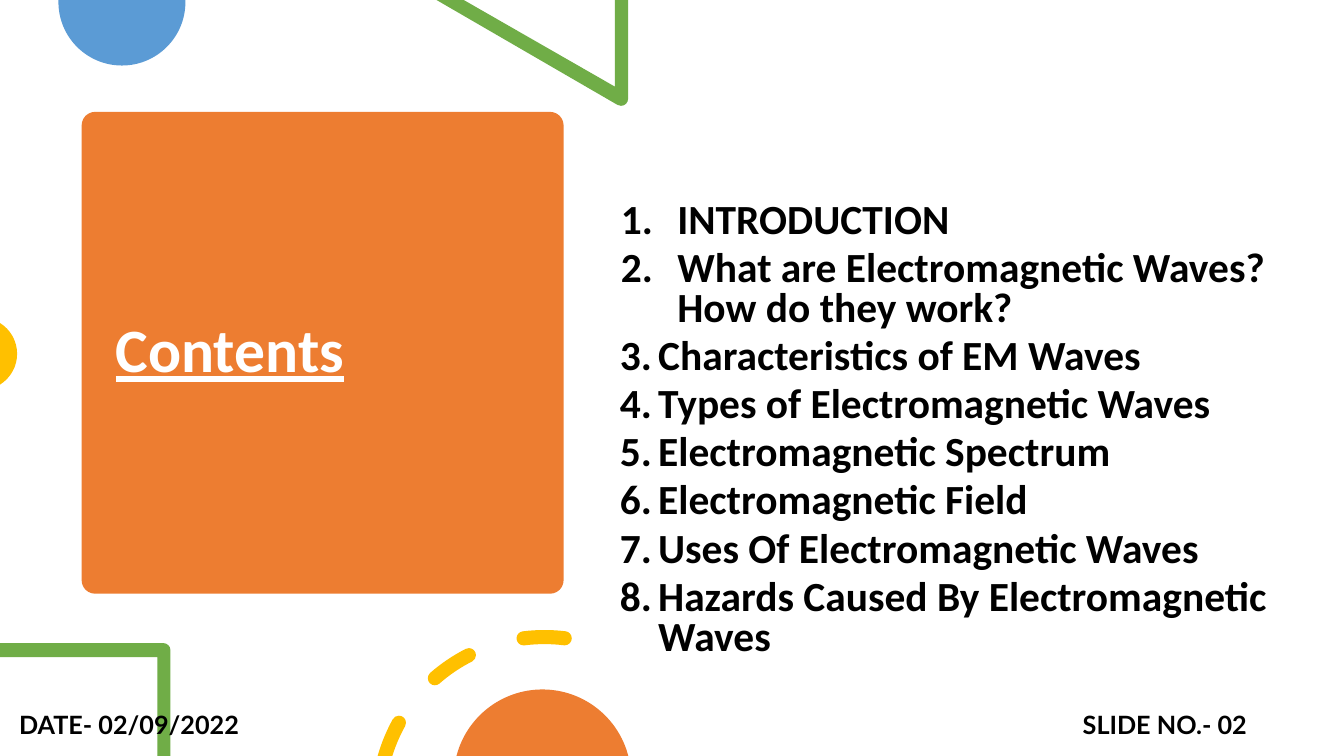
from dataclasses import dataclass
from math import asin, cos, degrees, radians, sin, tan

from lxml.etree import SubElement
from pptx import Presentation
from pptx.dml.color import RGBColor as Rgb
from pptx.enum.shapes import MSO_SHAPE as Preset
from pptx.enum.text import MSO_ANCHOR as Anchor
from pptx.oxml.ns import qn
from pptx.util import Inches, Pt

COLUMNS, ROWS = 13.33, 7.5


@dataclass(frozen=True)
class Theme:
    """Colours, fonts and type sizes of the slide."""

    orange: str = "ED7D31"
    blue: str = "5B9BD5"
    green: str = "70AD47"
    yellow: str = "FFC000"
    ink: str = "000000"
    paper: str = "FFFFFF"
    main_font: str = "Calibri"
    footer_font: str = "Lato"
    title_size: float = 44
    topic_size: float = 29.6
    footer_size: float = 18


THEME = Theme()
WIDE_INDENT = (0.69, -0.56)
TIGHT_INDENT = (0.5, -0.38)
TOPICS = [
    ("INTRODUCTION", WIDE_INDENT),
    ("What are Electromagnetic Waves? How do they work?", WIDE_INDENT),
    ("Characteristics of EM Waves", TIGHT_INDENT),
    ("Types of Electromagnetic Waves", TIGHT_INDENT),
    ("Electromagnetic Spectrum", TIGHT_INDENT),
    ("Electromagnetic Field", TIGHT_INDENT),
    ("Uses Of Electromagnetic Waves", TIGHT_INDENT),
    ("Hazards Caused By Electromagnetic Waves", TIGHT_INDENT),
]


def corners(*points):
    """Return straight segments, each a tuple of one point."""
    return [(point,) for point in points]


def polar(center, radius, angle, pull=0):
    """Return the point at an angle, moved along the tangent by a share of the radius."""
    c, s = cos(radians(angle)), sin(radians(angle))
    return center[0] + radius * (c - pull * s), center[1] - radius * (s + pull * c)


def arc(center, radius, start, end):
    """Return a start point and Bézier segments, cut where the circle meets its axes."""
    low, high = sorted((start, end))
    cuts = sorted([low, *(a for a in range(-360, 721, 90) if low < a < high), high],
                  reverse=start > end)
    segments = corners(polar(center, radius, start))
    for here, there in zip(cuts, cuts[1:]):
        pull = 4 / 3 * tan(radians(there - here) / 4)
        segments.append((polar(center, radius, here, pull),
                         polar(center, radius, there, -pull),
                         polar(center, radius, there)))
    return segments


def dash(center, radius, width, start, span):
    """Outline a round-ended arc that stops at the bottom edge of the slide."""
    half = width / 2
    full_end = start + span

    def end_at(r):
        return min(full_end, 180 - degrees(asin((center[1] - ROWS) / r)))

    def cap(angle, turn):
        return arc(polar(center, radius, angle), half, turn, turn + 180)[1:]

    outer_end, inner_end = end_at(radius + half), end_at(radius - half)
    outer = arc(center, radius + half, start, outer_end)
    inner = arc(center, radius - half, inner_end, start)
    if outer_end == full_end:
        inner = cap(full_end, full_end) + inner[1:]
    return outer + inner + cap(start, start + 180)


def paint(shape, color):
    """Give a shape a flat fill without line or shadow."""
    shape.fill.solid()
    shape.fill.fore_color.rgb = Rgb.from_string(color)
    shape.line.fill.background()
    shape.shadow.inherit = False


def bend(shape, segments):
    """Turn the three lines of each curved segment into one Bézier curve."""
    lines = iter(list(shape._element.iter(qn("a:lnTo"))))
    for segment in segments:
        group = [next(lines) for _ in segment]
        if len(group) == 3:
            curve = group[0].makeelement(qn("a:cubicBezTo"))
            group[0].addprevious(curve)
            for line in group:
                curve.append(line[0])
                line.getparent().remove(line)


def add_outline(slide, color, *contours):
    """Draw one filled form from closed contours."""
    starts = [[Inches(value) for value in contour[0][0]] for contour in contours]
    builder = slide.shapes.build_freeform(*starts[0])
    for index, (start, contour) in enumerate(zip(starts, contours)):
        if index:
            builder.move_to(*start)
        builder.add_line_segments(
            [(Inches(x), Inches(y)) for segment in contour[1:] for x, y in segment], close=True)
    form = builder.convert_to_shape()
    bend(form, [segment for contour in contours for segment in contour[1:]])
    paint(form, color)


def add_card(slide, box):
    """Draw the rounded card behind the title."""
    card = slide.shapes.add_shape(Preset.ROUNDED_RECTANGLE, *map(Inches, box))
    card.adjustments[0] = 0.028
    paint(card, THEME.orange)


def add_text(slide, box, lines, font, size, color, anchor=Anchor.TOP):
    """Write bold lines in a box and return its paragraphs."""
    frame = slide.shapes.add_textbox(*map(Inches, box)).text_frame
    frame.word_wrap = True
    frame.vertical_anchor = anchor
    frame.text = "\n".join(lines)
    for paragraph in frame.paragraphs:
        paragraph.font.name = font
        paragraph.font.size = Pt(size)
        paragraph.font.bold = True
        paragraph.font.color.rgb = Rgb.from_string(color)
    return frame.paragraphs


def space(paragraph, line_spacing):
    """Set the line spacing and the gap after a paragraph."""
    paragraph.line_spacing = line_spacing
    paragraph.space_after = Pt(6)


def number(paragraph, margin, hang):
    """Number a paragraph with a hanging indent."""
    properties = paragraph._p.get_or_add_pPr()
    properties.set("marL", str(Inches(margin)))
    properties.set("indent", str(Inches(hang)))
    numbering = SubElement(properties, qn("a:buAutoNum"), type="arabicPeriod")
    properties.find(qn("a:defRPr")).addprevious(numbering)


def add_title(slide):
    """Write the underlined title on its card."""
    add_card(slide, (0.81, 1.11, 4.78, 4.78))
    title = add_text(slide, (1.05, 1.22, 4.31, 4.56), ["Contents"], THEME.main_font,
                     THEME.title_size, THEME.paper, Anchor.MIDDLE)[0]
    title.font.underline = True
    space(title, 0.9)


def add_topics(slide):
    """Write the numbered list of topics."""
    paragraphs = add_text(slide, (5.93, 1.96, 7.14, 4.88), [topic for topic, _ in TOPICS],
                          THEME.main_font, THEME.topic_size, THEME.ink)
    for paragraph, (_, indent) in zip(paragraphs, TOPICS):
        space(paragraph, 0.8)
        number(paragraph, *indent)


def add_top_forms(slide):
    """Draw the forms that run in from the top and left edges."""
    add_outline(slide, THEME.blue,
                corners((1.84, 0), (0.58, 0)) + arc((1.21, 0.02), 0.63, 180, 360))
    add_outline(slide, THEME.green,
                corners((6.23, 0)) + arc((6.16, 0.98), 0.07, 0, -120)
                + corners((4.33, 0), (4.6, 0), (6.1, 0.86), (6.1, 0)))
    add_outline(slide, THEME.yellow, arc((-0.19, 3.51), 0.36, -58, 58))


def add_bottom_forms(slide):
    """Draw the forms that run in from the bottom edge."""
    add_outline(slide, THEME.green,
                corners((1.69, ROWS)) + arc((1.62, 6.45), 0.07, 0, 90)
                + corners((0, 6.38), (0, 6.52), (1.56, 6.52), (1.56, ROWS)))
    dashes = [dash((5.4, 7.97), 1.65, 0.14, 83 + 34 * i, 14.2) for i in range(3)]
    add_outline(slide, THEME.yellow, *dashes)
    add_outline(slide, THEME.orange, arc((5.38, 7.72), 0.88, 14.5, 165.5))


def add_footer(slide):
    """Write the date and the slide number."""
    for left, width, label in ((0.09, 2.89, "DATE- 02/09/2022"), (10.64, 2.57, "SLIDE NO.- 02")):
        add_text(slide, (left, 6.99, width, 0.4), [label], THEME.footer_font,
                 THEME.footer_size, THEME.ink)


def main():
    """Build the contents slide and save it."""
    deck = Presentation()
    deck.slide_width, deck.slide_height = Inches(COLUMNS), Inches(ROWS)
    slide = deck.slides.add_slide(deck.slide_layouts[6])
    add_title(slide)
    add_top_forms(slide)
    add_topics(slide)
    add_bottom_forms(slide)
    add_footer(slide)
    deck.save("out.pptx")


if __name__ == "__main__":
    main()
